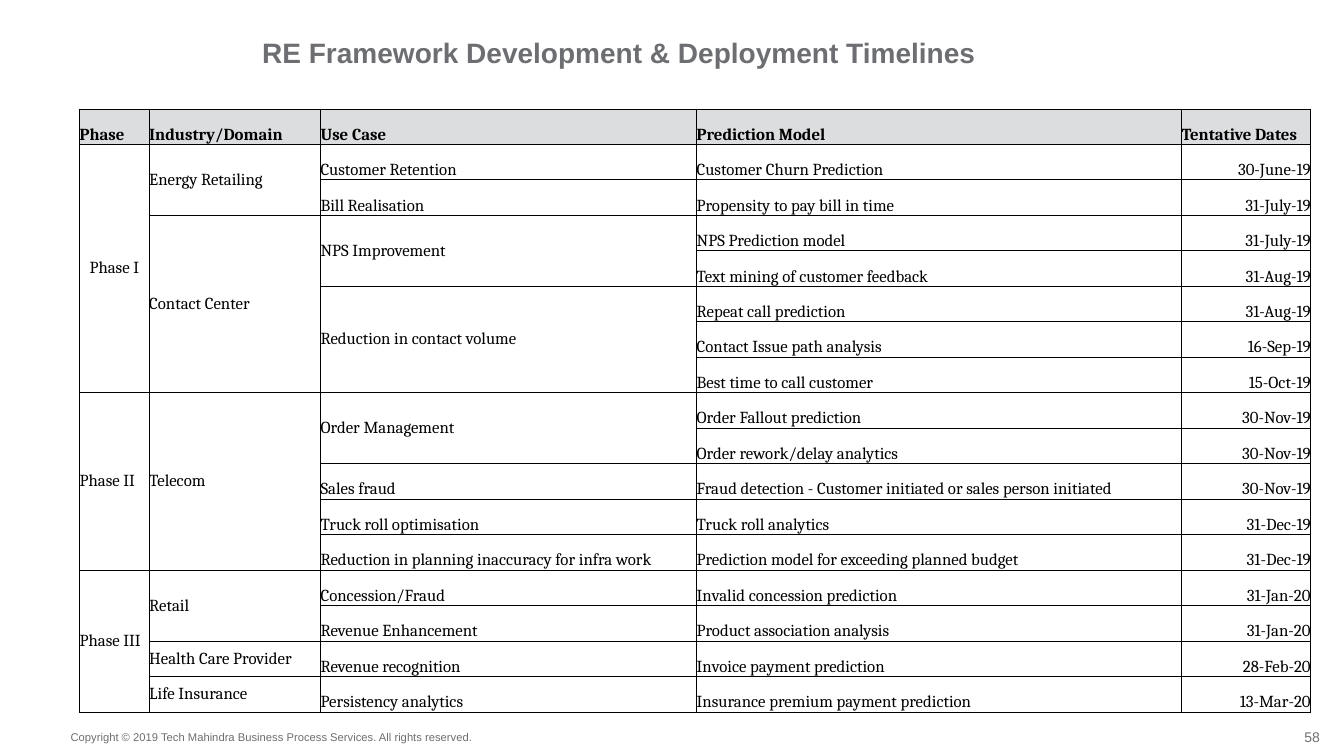
from dataclasses import dataclass

from lxml.etree import SubElement
from pptx import Presentation
from pptx.dml.color import RGBColor
from pptx.enum.text import MSO_ANCHOR, MSO_AUTO_SIZE, PP_ALIGN
from pptx.oxml.ns import qn
from pptx.util import Inches, Pt


@dataclass(frozen=True)
class Theme:
    grey: str = "6D6E71"
    black: str = "000000"
    header_fill: str = "DCDDDE"
    heading_font: str = "Arial"
    table_font: str = "Cambria"
    title_size: float = 20
    table_size: float = 12
    number_size: float = 10
    footer_size: float = 8
    border: float = 0.5


THEME = Theme()

HEADER = ["Phase", "Industry/Domain", "Use Case", "Prediction Model", "Tentative Dates"]
COL_WIDTHS = [0.69, 1.7, 3.73, 4.81, 1.28]
DATE_COL = 4

# An empty string continues the cell above it
TIMELINE = [
    ["Phase I", "Energy Retailing", "Customer Retention", "Customer Churn Prediction", "30-June-19"],
    ["", "", "Bill Realisation", "Propensity to pay bill in time", "31-July-19"],
    ["", "Contact Center", "NPS Improvement", "NPS Prediction model", "31-July-19"],
    ["", "", "", "Text mining of customer feedback", "31-Aug-19"],
    ["", "", "Reduction in contact volume", "Repeat call prediction", "31-Aug-19"],
    ["", "", "", "Contact Issue path analysis", "16-Sep-19"],
    ["", "", "", "Best time to call customer", "15-Oct-19"],
    ["Phase II", "Telecom", "Order Management", "Order Fallout prediction", "30-Nov-19"],
    ["", "", "", "Order rework/delay analytics", "30-Nov-19"],
    ["", "", "Sales fraud", "Fraud detection - Customer initiated or sales person initiated", "30-Nov-19"],
    ["", "", "Truck roll optimisation", "Truck roll analytics", "31-Dec-19"],
    ["", "", "Reduction in planning inaccuracy for infra work",
     "Prediction model for exceeding planned budget", "31-Dec-19"],
    ["Phase III", "Retail", "Concession/Fraud", "Invalid concession prediction", "31-Jan-20"],
    ["", "", "Revenue Enhancement", "Product association analysis", "31-Jan-20"],
    ["", "Health Care Provider", "Revenue recognition", "Invoice payment prediction", "28-Feb-20"],
    ["", "Life Insurance", "Persistency analytics", "Insurance premium payment prediction", "13-Mar-20"],
]


def write(tf, text, font, size, color, bold=False, align=PP_ALIGN.LEFT):
    tf.text = text
    p = tf.paragraphs[0]
    p.alignment = align
    f = p.runs[0].font
    f.name, f.size, f.bold = font, Pt(size), bold
    f.color.rgb = RGBColor.from_string(color)


def add_title(slide, text, left, top, width, height):
    s = slide.shapes.title
    s.left, s.top, s.width, s.height = map(Inches, (left, top, width, height))
    tf = s.text_frame
    tf.auto_size = MSO_AUTO_SIZE.NONE
    tf.vertical_anchor = MSO_ANCHOR.TOP
    write(tf, text, THEME.heading_font, THEME.title_size, THEME.grey, bold=True)


def add_footer_text(slide, text, size, align, anchor, left, top, width, height):
    s = slide.shapes.add_textbox(*map(Inches, (left, top, width, height)))
    tf = s.text_frame
    tf.margin_left = tf.margin_right = tf.margin_top = tf.margin_bottom = 0
    tf.word_wrap = False
    tf.vertical_anchor = anchor
    write(tf, text, THEME.heading_font, size, THEME.grey, align=align)


def add_borders(cell):
    tc_pr = cell._tc.get_or_add_tcPr()
    for side in ("a:lnL", "a:lnR", "a:lnT", "a:lnB"):
        ln = SubElement(tc_pr, qn(side), w=str(Pt(THEME.border)))
        fill = SubElement(ln, qn("a:solidFill"))
        SubElement(fill, qn("a:srgbClr"), val=THEME.black)


def style_cell(cell, row, col, text):
    cell.margin_left = cell.margin_right = cell.margin_top = cell.margin_bottom = 0
    add_borders(cell)
    is_header = row == 0
    if is_header:
        cell.fill.solid()
        cell.fill.fore_color.rgb = RGBColor.from_string(THEME.header_fill)
    else:
        cell.fill.background()
    if not text:
        return
    centred = not is_header and (col < 2 or cell.is_merge_origin)
    cell.vertical_anchor = MSO_ANCHOR.MIDDLE if centred else MSO_ANCHOR.BOTTOM
    align = PP_ALIGN.LEFT
    if col == DATE_COL and not is_header:
        align = PP_ALIGN.RIGHT
    elif text == "Phase I":
        align = PP_ALIGN.CENTER
    write(cell.text_frame, text, THEME.table_font, THEME.table_size, THEME.black, is_header, align)


def merge_continued(table, rows):
    for col in range(len(HEADER)):
        starts = [i for i, row in enumerate(rows) if row[col]]
        for first, following in zip(starts, starts[1:] + [len(rows)]):
            if following - first > 1:
                table.cell(first, col).merge(table.cell(following - 1, col))


def add_timeline(slide, left, top, width, height):
    rows = [HEADER] + TIMELINE
    frame = slide.shapes.add_table(len(rows), len(HEADER), *map(Inches, (left, top, width, height)))
    table = frame.table
    table.first_row = table.horz_banding = False
    for column, col_width in zip(table.columns, COL_WIDTHS):
        column.width = Inches(col_width)
    for table_row in table.rows:
        table_row.height = Inches(height / len(rows))
    merge_continued(table, rows)
    for i, row in enumerate(rows):
        for j, text in enumerate(row):
            style_cell(table.cell(i, j), i, j, text)


def build_slide(prs):
    slide = prs.slides.add_slide(prs.slide_layouts[5])
    # Footer
    add_footer_text(slide, "58", THEME.number_size, PP_ALIGN.RIGHT, MSO_ANCHOR.MIDDLE,
                    12.92, 7.23, 0.17, 0.17)
    add_footer_text(slide, "Copyright © 2019 Tech Mahindra Business Process Services. All rights reserved.",
                    THEME.footer_size, PP_ALIGN.LEFT, MSO_ANCHOR.TOP, 0.7, 7.25, 4.02, 0.13)
    # Title and timeline table
    add_title(slide, "RE Framework Development & Deployment Timelines", 2.5, 0.3, 7.71, 0.43)
    add_timeline(slide, 0.79, 1.08, sum(COL_WIDTHS), 5.99)


def main():
    prs = Presentation()
    prs.slide_width, prs.slide_height = Inches(13.33), Inches(7.5)
    build_slide(prs)
    prs.save("out.pptx")


if __name__ == "__main__":
    main()
